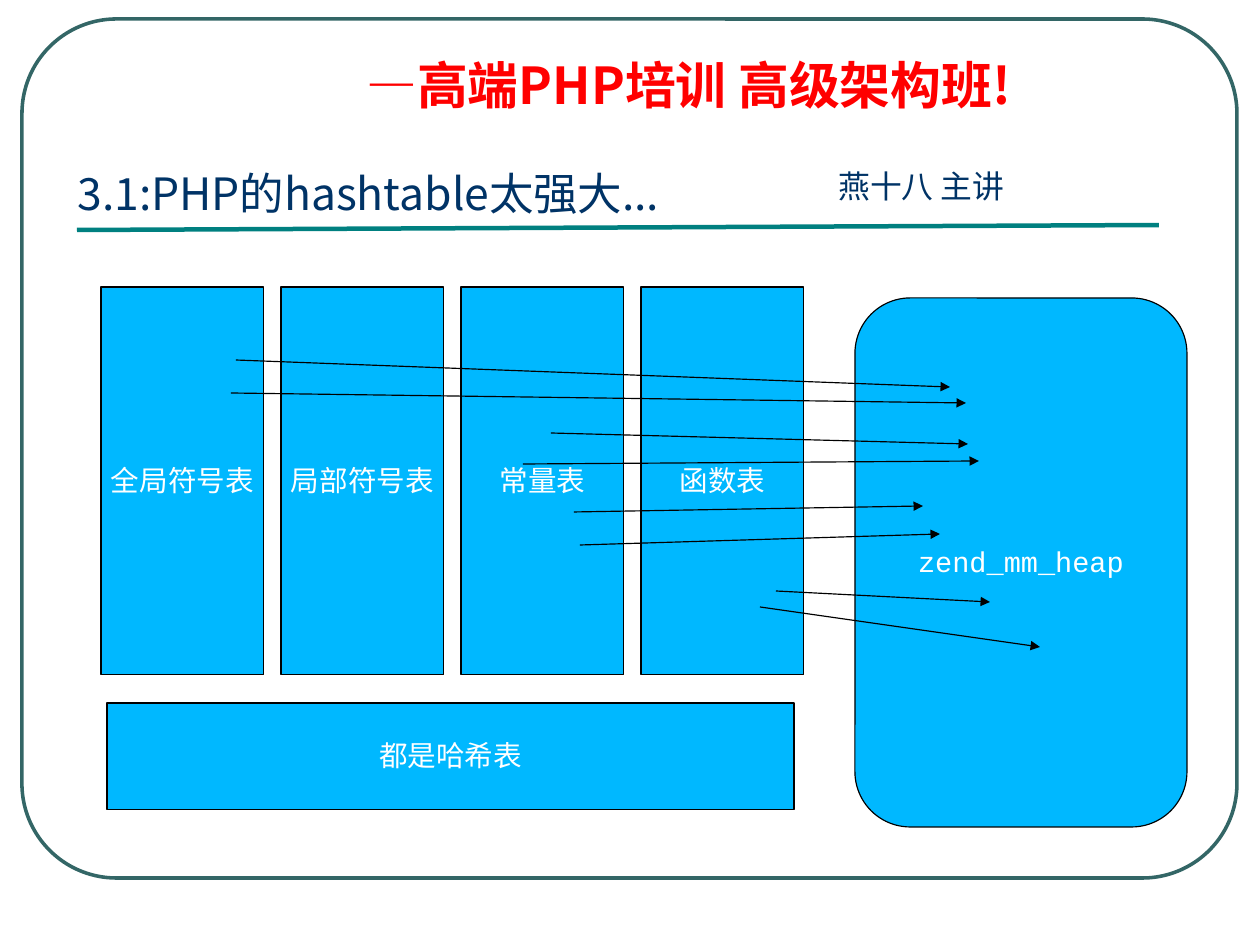
from pptx import Presentation
from pptx.dml.color import RGBColor
from pptx.enum.shapes import MSO_CONNECTOR, MSO_SHAPE
from pptx.enum.text import MSO_ANCHOR, MSO_AUTO_SIZE, PP_ALIGN
from pptx.oxml.ns import qn
from pptx.util import Pt
from lxml.etree import SubElement

PX = 8000  # 1260 by 945 px make 28 by 21 cm
RED = RGBColor(0xFF, 0x00, 0x00)
NAVY = RGBColor(0x00, 0x33, 0x66)
GREEN = RGBColor(0x33, 0x66, 0x66)
TEAL = RGBColor(0x00, 0x80, 0x80)
BLUE = RGBColor(0x00, 0xB8, 0xFF)
BLACK = RGBColor(0x00, 0x00, 0x00)
WHITE = RGBColor(0xFF, 0xFF, 0xFF)
NOTO, SANS, MONO = "Noto Sans CJK SC", "DejaVu Sans", "Courier New"


def write(shape, text, size, color, face=NOTO, align=PP_ALIGN.LEFT,
          anchor=MSO_ANCHOR.TOP, wrap=True):
    frame = shape.text_frame
    frame.auto_size = MSO_AUTO_SIZE.NONE
    frame.word_wrap = wrap
    frame.vertical_anchor = anchor
    para = frame.paragraphs[0]
    para.alignment = align
    para.line_spacing = 0.98
    run = para.add_run()
    run.text = text
    font = run.font
    font.size = Pt(size)
    font.color.rgb = color
    font.name = face
    SubElement(font._element, qn("a:ea")).set("typeface", face)
    return para


def draw_line(x1, y1, x2, y2, color, width):
    line = slide.shapes.add_connector(
        MSO_CONNECTOR.STRAIGHT, x1 * PX, y1 * PX, x2 * PX, y2 * PX)
    line.line.color.rgb = color
    line.line.width = Pt(width)
    SubElement(line._element.spPr, qn("a:effectLst"))
    return line


deck = Presentation()
deck.slide_width, deck.slide_height = 1260 * PX, 945 * PX
slide = deck.slides.add_slide(deck.slide_layouts[5])

# Title
title = slide.shapes.title
title.left, title.top, title.width, title.height = [
    n * PX for n in (66, 163, 648, 64)]
write(title, "3.1:PHP的hashtable太强大...", 28, NAVY, wrap=False)

# Frame and rule
frame = slide.shapes.add_shape(
    MSO_SHAPE.ROUNDED_RECTANGLE, 22 * PX, 19 * PX, 1215 * PX, 859 * PX)
frame.adjustments[0] = 0.11
frame.shadow.inherit = False
frame.fill.background()
frame.line.color.rgb = GREEN
frame.line.width = Pt(2.25)
draw_line(77, 230, 1159, 225, TEAL, 2.83)

# Course banner and speaker
banner = slide.shapes.add_textbox(355 * PX, 55 * PX, 788 * PX, 66 * PX)
para = write(banner, "—高端PHP培训 高级架构班!", 32, RED)
para.line_spacing = 0.9
para.space_before = Pt(8.2)
para.runs[0].font.bold = True
speaker = slide.shapes.add_textbox(827 * PX, 163 * PX, 213 * PX, 49 * PX)
write(speaker, "燕十八 主讲", 20, NAVY)

# Tables, their caption and the heap
RECT, ROUND = MSO_SHAPE.RECTANGLE, MSO_SHAPE.ROUNDED_RECTANGLE
names = ["全局符号表", "局部符号表", "常量表", "函数表"]
boxes = [(RECT, 101 + 180 * i, 287, 163, 388, name, SANS)
         for i, name in enumerate(names)]
boxes += [(RECT, 107, 703, 687, 107, "都是哈希表", SANS),
          (ROUND, 855, 298, 332, 529, "zend_mm_heap", MONO)]
for kind, x, y, w, h, name, face in boxes:
    box = slide.shapes.add_shape(kind, x * PX, y * PX, w * PX, h * PX)
    box.shadow.inherit = False
    box.fill.solid()
    box.fill.fore_color.rgb = BLUE
    box.line.color.rgb = BLACK
    box.line.width = Pt(0.75)
    write(box, name, 18, WHITE, face, PP_ALIGN.CENTER, MSO_ANCHOR.MIDDLE, False)

# Arrows from the tables into the heap
arrows = [
    (551, 433, 968, 444), (236, 360, 950, 387),
    (231, 393, 966, 403), (523, 464, 979, 461),
    (574, 512, 923, 506), (580, 545, 940, 534),
    (776, 591, 990, 602), (760, 607, 1040, 647),
]
for ends in arrows:
    arrow = draw_line(*ends, BLACK, 0.75)
    SubElement(arrow.line._get_or_add_ln(), qn("a:tailEnd")).set("type", "triangle")

deck.save("out.pptx")
